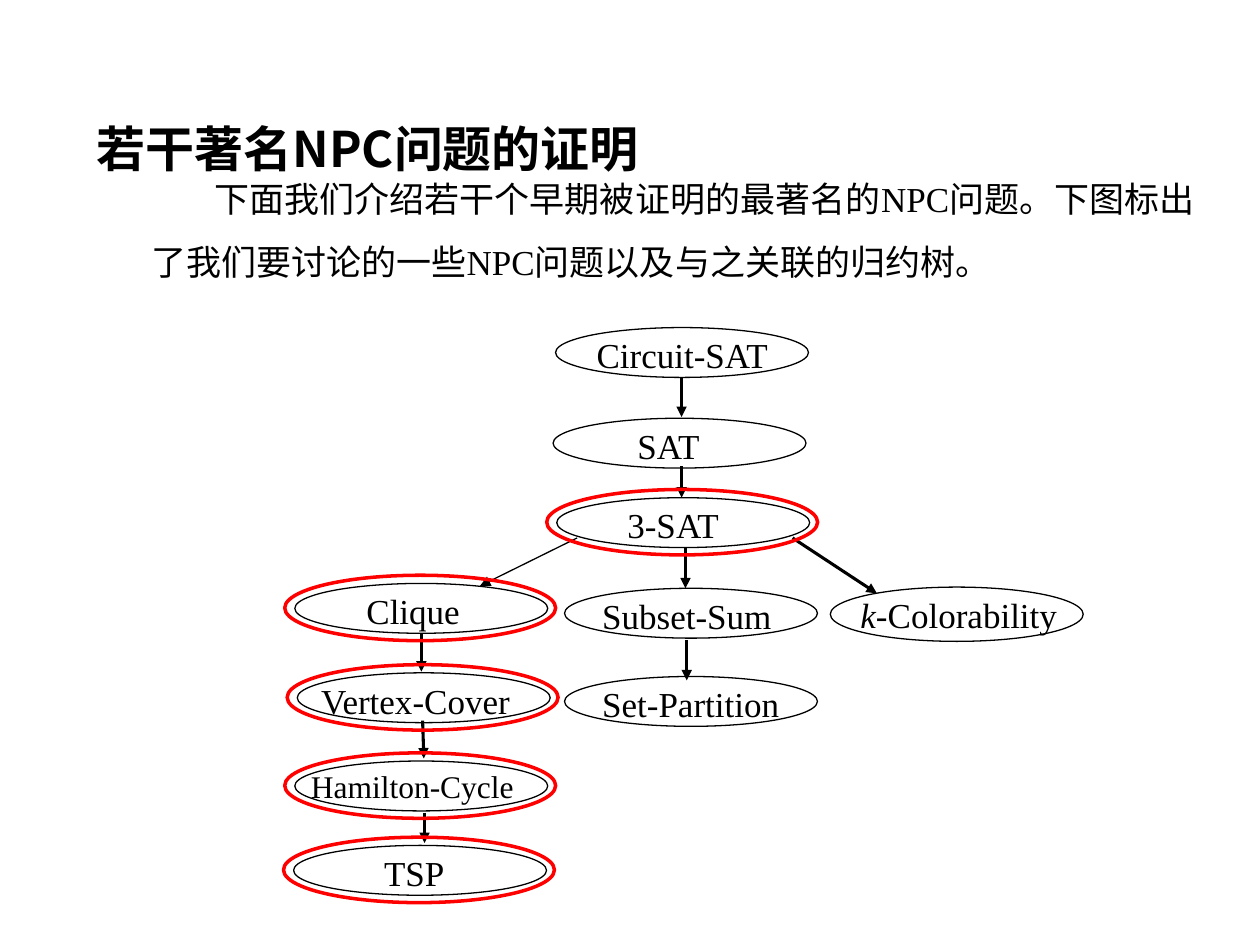
from lxml import etree
from pptx import Presentation
from pptx import util as u
from pptx.dml.color import RGBColor
from pptx.enum import shapes, text
from pptx.oxml import ns

SERIF = "Times New Roman"
SANS = "Noto Sans CJK SC"
BLACK = "000000"
RED = "FF0000"
NODE_WIDTH, NODE_HEIGHT = 144.5, 28.5
RING_WIDTH, RING_HEIGHT = 154.8, 37.4
RING_SHIFT_X, RING_SHIFT_Y = 5.8, 4.7


def color(value):
    return RGBColor.from_string(value)


def points(*values):
    return [u.Pt(value) for value in values]


class Diagram:
    def __init__(self, presentation):
        self.slide = presentation.slides.add_slide(presentation.slide_layouts[5])

    def style(self, paragraph, size, name, bold=False):
        font = paragraph.font
        font.size = u.Pt(size)
        font.bold = bold
        font.color.rgb = color(BLACK)
        font.name = name
        properties = paragraph._p.pPr.find(ns.qn("a:defRPr"))
        etree.SubElement(properties, ns.qn("a:ea"), typeface=SANS)

    def frame(self, shape):
        frame = shape.text_frame
        frame.word_wrap = True
        frame.auto_size = text.MSO_AUTO_SIZE.NONE
        frame.vertical_anchor = text.MSO_ANCHOR.TOP
        return frame

    def title(self, words, box):
        shape = self.slide.shapes.title
        shape.left, shape.top, shape.width, shape.height = points(*box)
        paragraph = self.frame(shape).paragraphs[0]
        paragraph.text = words
        paragraph.alignment = text.PP_ALIGN.LEFT
        paragraph.line_spacing = u.Pt(53)
        self.style(paragraph, 28, SANS, True)

    def body(self, words, box):
        shape = self.slide.shapes.add_textbox(*points(*box))
        frame = self.frame(shape)
        frame.margin_top = u.Pt(45)
        paragraph = frame.paragraphs[0]
        paragraph.text = words
        paragraph.alignment = text.PP_ALIGN.JUSTIFY
        paragraph.line_spacing = u.Pt(36)
        self.style(paragraph, 20, SERIF)
        paragraph._p.pPr.set("indent", str(u.Pt(36)))

    def label(self, words, box, size=20, italic="", centered=False):
        shape = self.slide.shapes.add_textbox(*points(*box))
        paragraph = self.frame(shape).paragraphs[0]
        if italic:
            run = paragraph.add_run()
            run.text = italic
            run.font.italic = True
        paragraph.add_run().text = words
        if centered:
            paragraph.alignment = text.PP_ALIGN.CENTER
        self.style(paragraph, size, SERIF)

    def ellipse(self, box, line=BLACK, weight=0.75):
        shape = self.slide.shapes.add_shape(shapes.MSO_SHAPE.OVAL, *points(*box))
        shape.shadow.inherit = False
        shape.fill.background()
        shape.line.color.rgb = color(line)
        shape.line.width = u.Pt(weight)

    def node(self, words, left, top, label_left, label_width,
             height=NODE_HEIGHT, **options):
        self.label(words, (label_left, top, label_width, NODE_HEIGHT), **options)
        self.ellipse((left, top, NODE_WIDTH, height))

    def ring(self, left, top):
        box = (left - RING_SHIFT_X, top - RING_SHIFT_Y, RING_WIDTH, RING_HEIGHT)
        self.ellipse(box, RED, 2)

    def arrow(self, start, end, weight=1.75):
        connector = self.slide.shapes.add_connector(
            shapes.MSO_CONNECTOR.STRAIGHT, *points(*start, *end))
        connector.line.color.rgb = color(BLACK)
        connector.line.width = u.Pt(weight)
        etree.SubElement(connector.line._get_or_add_ln(),
                         ns.qn("a:tailEnd"), type="triangle")
        etree.SubElement(connector._element.spPr, ns.qn("a:effectLst"))


def main():
    presentation = Presentation()
    presentation.slide_width, presentation.slide_height = points(720, 540)
    diagram = Diagram(presentation)
    diagram.body("下面我们介绍若干个早期被证明的最著名的NPC问题。"
                 "下图标出了我们要讨论的一些NPC问题以及与之关联的归约树。",
                 (79.2, 44.6, 610.6, 131))
    diagram.title("若干著名NPC问题的证明", (48.2, 44.6, 591.8, 108.7))

    ringed_nodes = [
        ("3-SAT", 318.2, 284.4, 351.4, 95.8, 20),
        ("Clique", 168.5, 333.4, 202.3, 96.5, 20),
        ("Vertex-Cover", 169.9, 384.5, 176.4, 135.4, 20),
        ("Hamilton-Cycle", 168.5, 434.9, 170.6, 138.2, 18),
        ("TSP", 167.8, 483.1, 212.4, 69.1, 20),
    ]
    for *place, size in ringed_nodes:
        diagram.node(*place, size=size)
    diagram.node("Circuit-SAT", 317.5, 187.2, 322.6, 134.6, centered=True)
    diagram.node("SAT", 316.1, 239, 357.1, 67)
    diagram.node("Subset-Sum", 322.6, 336.2, 337, 120.2)
    diagram.node("Set-Partition", 322.6, 386.6, 337, 120.2)
    diagram.node("-Colorability", 474.5, 335.5, 484.6, 129.6,
                 height=31, italic="k")

    arrows = [
        ((389.5, 215.3), (389.5, 238.3)),
        ((389.5, 266.4), (389.5, 284.4)),
        ((391.7, 313.2), (391.7, 336.2)),
        ((392.4, 365.8), (392.4, 388.8)),
        ((452.9, 307.4), (501.1, 339.1)),
        ((240.8, 362.2), (240.8, 383.8)),
        ((241.5, 411.8), (242.2, 433.4)),
        ((242.6, 464.4), (242.6, 481.7)),
    ]
    for start, end in arrows:
        diagram.arrow(start, end)
    diagram.arrow((329.8, 307.4), (274.3, 334.8), 0.75)

    for _, left, top, *_ in ringed_nodes:
        diagram.ring(left, top)
    presentation.save("out.pptx")


if __name__ == "__main__":
    main()
